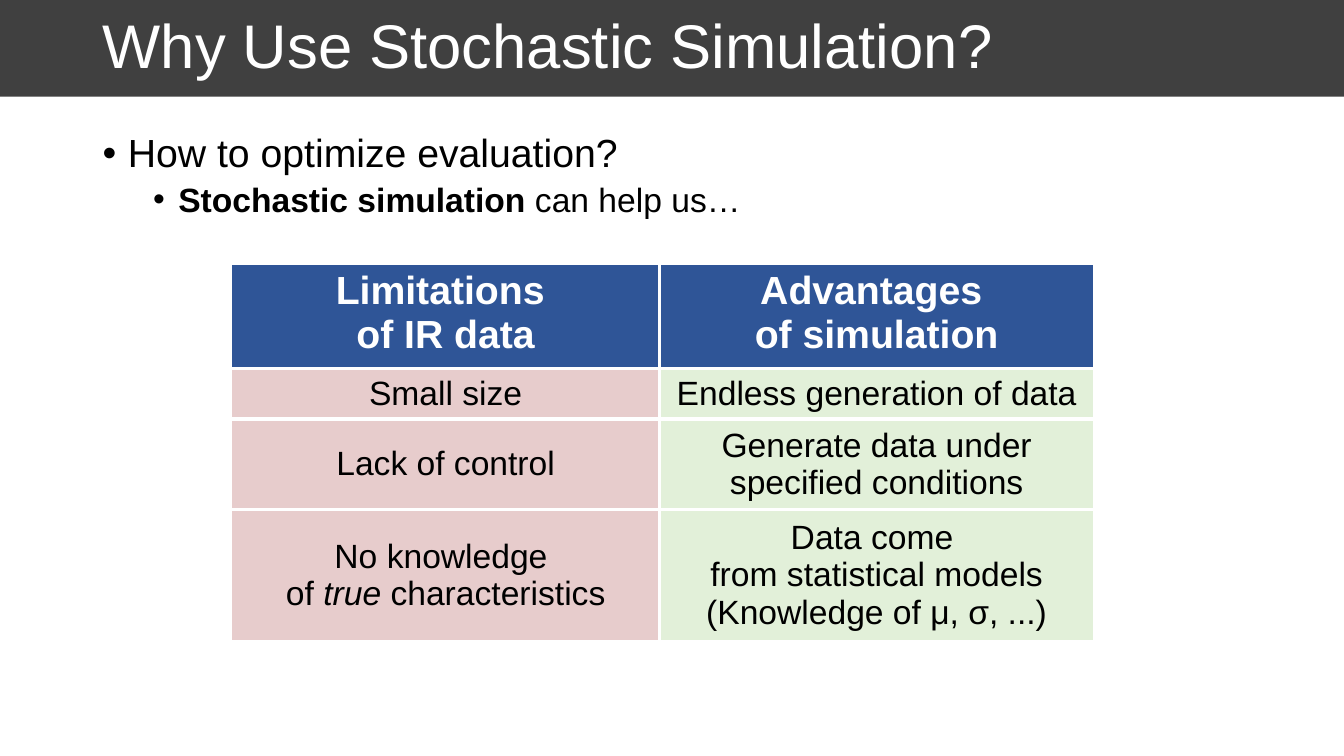
from dataclasses import dataclass

from lxml import etree
from pptx import Presentation
from pptx.dml.color import RGBColor
from pptx.enum.shapes import MSO_SHAPE
from pptx.enum.text import MSO_ANCHOR, PP_ALIGN
from pptx.oxml.ns import qn
from pptx.util import Inches, Pt

RECT = MSO_SHAPE.RECTANGLE
TOP, MIDDLE = MSO_ANCHOR.TOP, MSO_ANCHOR.MIDDLE
LEFT, CENTER = PP_ALIGN.LEFT, PP_ALIGN.CENTER

# Content: a cell is a list of paragraphs, a paragraph a list of (text, style) runs
TITLE = "Why Use Stochastic Simulation?"
BULLETS = [
    [("How to optimize evaluation?", "")],
    [("Stochastic simulation", "b"), (" can help us…", "")],
]
HEADER = [
    [[("Limitations \nof IR data", "b")]],
    [[("Advantages ", "b")], [("of simulation", "b")]],
]
ROWS = [
    [[[("Small size", "")]], [[("Endless generation of data", "")]]],
    [[[("Lack of control", "")]],
     [[("Generate data under specified conditions", "")]]],
    [[[("No knowledge ", "")],
      [("of ", ""), ("true", "i"), (" characteristics", "")]],
     [[("Data come ", "")],
      [("from statistical models\n(Knowledge of μ, σ, ...)", "")]]],
]


@dataclass(frozen=True)
class Theme:
    font: str = "Arial"
    title: int = 44
    large: int = 28
    small: int = 24
    white: str = "FFFFFF"
    black: str = "000000"
    band: str = "404040"
    header: str = "2F5597"
    limits: str = "8A0000"
    gains: str = "E2F0D9"
    limits_alpha: int = 20
    outer_line: int = 1
    inner_line: int = 3


T = Theme()

# Layout in inches
W, H = 13.33, 7.5
BAND_H = 0.96
MARGIN = 0.92
TEXT_W = W - 2 * MARGIN + 0.01
BODY_TOP, BODY_H = 1.28, 5.46
TABLE_X, TABLE_Y = 2.3, 2.62
COL_W = [4.24, 4.31]
ROW_H = [0.94, 0.46, 0.82, 1.19]


def write(p, runs, size=T.small, color=T.black, align=LEFT, spacing=None, before=None):
    """Fill one paragraph with styled runs; a newline is a line break."""
    p.alignment = align
    if spacing:
        p.line_spacing = spacing
    if before is not None:
        p.space_before = Pt(before)
    for text, style in runs:
        for i, part in enumerate(text.split("\n")):
            if i:
                p.add_line_break()
            r = p.add_run()
            r.text = part
            r.font.name, r.font.size = T.font, Pt(size)
            r.font.bold, r.font.italic = "b" in style, "i" in style
            r.font.color.rgb = RGBColor.from_string(color)


def next_paragraph(tf, i):
    return tf.add_paragraph() if i else tf.paragraphs[0]


def text_frame(slide, x, y, w, h, anchor=TOP):
    tf = slide.shapes.add_textbox(Inches(x), Inches(y), Inches(w), Inches(h)).text_frame
    tf.word_wrap = True
    tf.vertical_anchor = anchor
    return tf


def set_bullet(p, level):
    p.level = level
    pPr = p._p.get_or_add_pPr()
    pPr.set("marL", str(Inches(0.25 + 0.5 * level)))
    pPr.set("indent", str(Inches(-0.25)))
    etree.SubElement(pPr, qn("a:buFont")).set("typeface", T.font)
    etree.SubElement(pPr, qn("a:buChar")).set("char", "•")


def set_fill(fill, color, alpha=None):
    fill.solid()
    fill.fore_color.rgb = RGBColor.from_string(color)
    if alpha:
        clr = fill._xPr.find(".//" + qn("a:srgbClr"))
        etree.SubElement(clr, qn("a:alpha")).set("val", str(alpha * 1000))


def set_borders(cell, row, col):
    """White rules: thin on the table's edge, thick between cells."""
    on_edge = {"L": col == 0, "R": col == len(COL_W) - 1,
               "T": row == 0, "B": row == len(ROW_H) - 1}
    tcPr = cell._tc.get_or_add_tcPr()
    for i, (side, edge) in enumerate(on_edge.items()):
        ln = etree.Element(qn("a:ln" + side))
        ln.set("w", str(Pt(T.outer_line if edge else T.inner_line)))
        solid = etree.SubElement(ln, qn("a:solidFill"))
        etree.SubElement(solid, qn("a:srgbClr")).set("val", T.white)
        tcPr.insert(i, ln)


def add_title(slide):
    band = slide.shapes.add_shape(RECT, 0, 0, Inches(W), Inches(BAND_H))
    band.shadow.inherit = False
    set_fill(band.fill, T.band)
    band.line.fill.background()
    tf = text_frame(slide, MARGIN, 0, TEXT_W, BAND_H, MIDDLE)
    write(tf.paragraphs[0], [(TITLE, "")], size=T.title, color=T.white, spacing=0.9)


def add_bullets(slide):
    tf = text_frame(slide, MARGIN, BODY_TOP, TEXT_W, BODY_H)
    for level, runs in enumerate(BULLETS):
        p = next_paragraph(tf, level)
        write(p, runs, size=(T.large, T.small)[level], spacing=0.9, before=(10, 5)[level])
        set_bullet(p, level)


def add_comparison(slide):
    table = slide.shapes.add_table(
        len(ROW_H), len(COL_W), Inches(TABLE_X), Inches(TABLE_Y),
        Inches(sum(COL_W)), Inches(sum(ROW_H))).table
    for column, w in zip(table.columns, COL_W):
        column.width = Inches(w)
    for row, h in zip(table.rows, ROW_H):
        row.height = Inches(h)
    body_fills = [(T.limits, T.limits_alpha), (T.gains, None)]
    for r, cells in enumerate([HEADER] + ROWS):
        head = r == 0
        for c, paragraphs in enumerate(cells):
            cell = table.cell(r, c)
            cell.vertical_anchor = TOP if head else MIDDLE
            set_fill(cell.fill, *((T.header,) if head else body_fills[c]))
            set_borders(cell, r, c)
            for i, runs in enumerate(paragraphs):
                write(next_paragraph(cell.text_frame, i), runs, align=CENTER,
                      size=T.large if head else T.small,
                      color=T.white if head else T.black)


def main():
    prs = Presentation()
    prs.slide_width, prs.slide_height = Inches(W), Inches(H)
    slide = prs.slides.add_slide(prs.slide_layouts[6])
    add_title(slide)
    add_bullets(slide)
    add_comparison(slide)
    prs.save("out.pptx")


if __name__ == "__main__":
    main()
